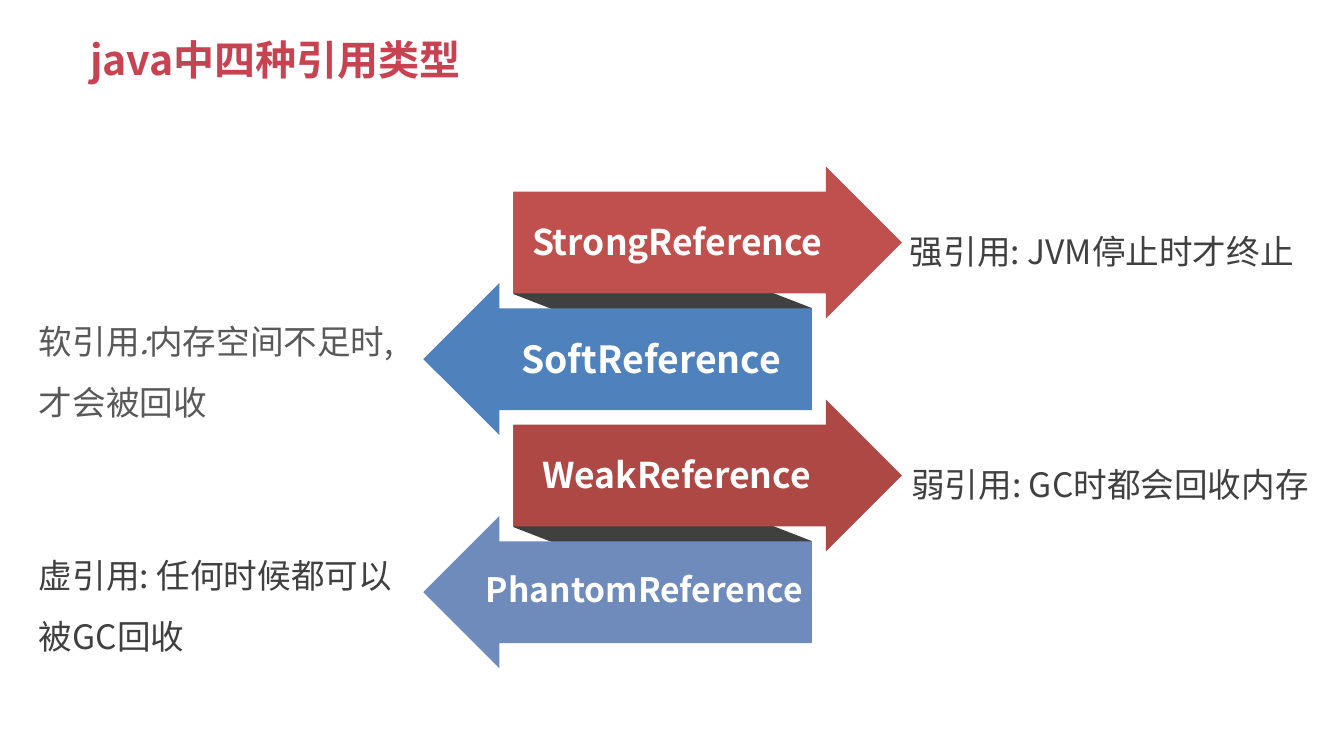
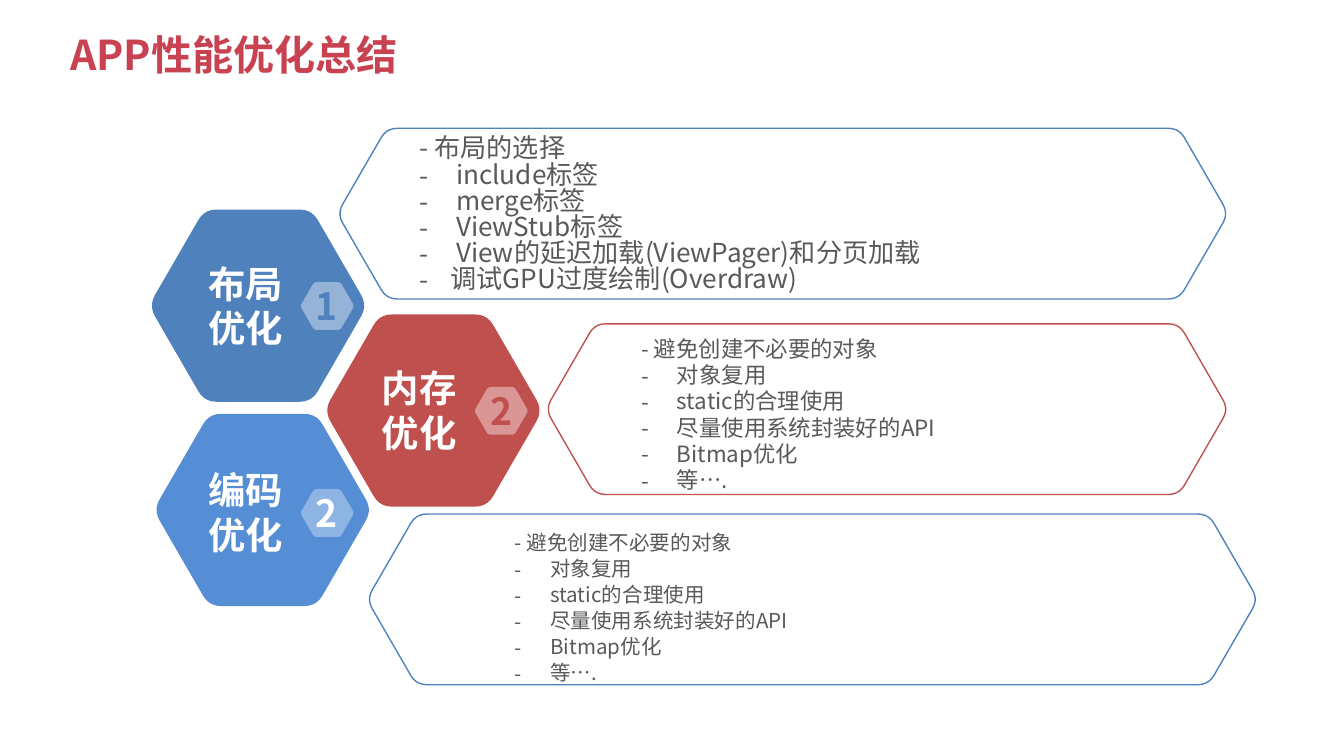
from lxml import etree
from pptx import Presentation, util as u
from pptx.dml.color import RGBColor
from pptx.enum import shapes, text
from pptx.oxml.ns import qn

FONT = "Noto Sans CJK SC"
COLORS = {
    "title": "C94251", "white": "FFFFFF", "dark": "404040", "gray": "595959",
    "red": "C0504D", "blue": "4F81BD", "deep red": "AE4845", "slate": "6E8BBB",
    "sky": "558ED5", "pale blue": "95B3D7", "pale red": "D99694", "pale sky": "8EB4E3",
}
CENTER, JUSTIFY = text.PP_ALIGN.CENTER, text.PP_ALIGN.JUSTIFY
TITLE = {"size": 22, "color": "title", "bold": True, "align": CENTER, "inset": (0.1, 0.05)}
LABEL = {"size": 20, "color": "white", "bold": True, "align": CENTER}
NOTE = {"size": 18, "color": "dark", "align": JUSTIFY, "spacing": 1.5}
LIST = {"color": "gray", "align": JUSTIFY, "spacing": u.Pt(14), "hanging": 0.23}

presentation = Presentation()
presentation.slide_width = u.Inches(10)
presentation.slide_height = presentation.slide_width * 9 // 16
# Grid of square cells: 100 columns by 56.25 rows
column = presentation.slide_width / 100
row = presentation.slide_height / 56.25


def place(left, top, width, height):
    return [round(v) for v in (left * column, top * row, width * column, height * row)]


def write(shape, box, lines, style):
    """Move a text shape and fill it; a line is a string or (string, italic) runs."""
    shape.left, shape.top, shape.width, shape.height = place(*box)
    frame = shape.text_frame
    side, end = style.get("inset", (0, 0))
    settings = {
        "word_wrap": True, "auto_size": text.MSO_AUTO_SIZE.NONE,
        "vertical_anchor": text.MSO_ANCHOR.TOP,
        "margin_left": u.Inches(side), "margin_right": u.Inches(side),
        "margin_top": u.Inches(end), "margin_bottom": u.Inches(end),
    }
    for name, value in settings.items():
        setattr(frame, name, value)
    for index, line in enumerate(lines):
        paragraph = frame.paragraphs[0] if index == 0 else frame.add_paragraph()
        layout = {"alignment": style["align"], "line_spacing": style.get("spacing", 1.0),
                  "space_before": u.Pt(0), "space_after": u.Pt(0)}
        for name, value in layout.items():
            setattr(paragraph, name, value)
        # The first line of a list carries its own dash, the others hang on a bullet
        properties = paragraph._p.get_or_add_pPr()
        hanging = u.Inches(style.get("hanging", 0)) if index else 0
        for name, value in {"marL": hanging, "indent": -hanging, "hangingPunct": 0}.items():
            properties.set(name, str(value))
        if hanging:
            etree.SubElement(properties, qn("a:buFont"), typeface=FONT)
            etree.SubElement(properties, qn("a:buChar"), char="-")
        else:
            etree.SubElement(properties, qn("a:buNone"))
        for words, italic in [(line, False)] if isinstance(line, str) else line:
            run = paragraph.add_run()
            run.text = words
            formats = {"name": FONT, "size": u.Pt(style["size"]),
                       "bold": style.get("bold", False), "italic": italic}
            for name, value in formats.items():
                setattr(run.font, name, value)
            run.font.color.rgb = RGBColor.from_string(COLORS[style["color"]])
            etree.SubElement(run._r.get_or_add_rPr(), qn("a:ea"), typeface=FONT)


# Slide 1: four kinds of reference
slide = presentation.slides.add_slide(presentation.slide_layouts[5])
write(slide.shapes.title, (2.8, 2.1, 35.4, 3), ["java中四种引用类型"], TITLE)

# Dark folds, then arrows turning right and left by turns
arrow_top, arrow_step = 12.4, 8.67
ribbons = [(shapes.MSO_SHAPE.PARALLELOGRAM, (41.2, arrow_top - 1.1 + 2 * fold * arrow_step, 16.2, 22.2),
            270, [0.532], "dark") for fold in (1, 0)]
for index, color in enumerate(["red", "blue", "deep red", "slate"]):
    left, rotation = [(38.2, 0), (31.5, 180)][index % 2]
    ribbons.append((shapes.MSO_SHAPE.RIGHT_ARROW, (left, arrow_top + index * arrow_step, 28.9, 11.3),
                    rotation, [0.67, 0.5], color))
for kind, box, rotation, adjustments, color in ribbons:
    ribbon = slide.shapes.add_shape(kind, *place(*box))
    ribbon.rotation = rotation
    ribbon.shadow.inherit = False
    for index, value in enumerate(adjustments):
        ribbon.adjustments[index] = value
    ribbon.fill.solid()
    ribbon.fill.fore_color.rgb = RGBColor.from_string(COLORS[color])
    ribbon.line.fill.background()

# Names on the arrows and notes beside them
captions = [
    ((38.2, 16.4, 24.4, 3.2), "StrongReference", LABEL | {"size": 19}),
    ((38.2, 25, 20.5, 3.4), "SoftReference", LABEL),
    ((39, 33.7, 22.7, 3.2), "WeakReference", LABEL | {"size": 19}),
    ((35, 42.3, 25.9, 3), "PhantomReference", LABEL | {"size": 18}),
    ((67.7, 15.7, 30.3, 4.5), "强引用: JVM停止时才终止", NOTE),
    ((2.9, 22.4, 27.9, 9.1),
     [("软引用", False), (":", True), ("内存空间不足时, \t才会被回收", False)], NOTE | {"color": "gray"}),
    ((67.8, 33, 31.9, 4.5), "弱引用: GC时都会回收内存", NOTE),
    ((2.9, 39.8, 28.2, 9.1), "虚引用: 任何时候都可以\t被GC回收", NOTE),
]
for box, line, style in captions:
    write(slide.shapes.add_textbox(0, 0, 0, 0), box, [line], style)

# Slide 2: summary of app optimisation
slide = presentation.slides.add_slide(presentation.slide_layouts[4])
write(slide.shapes.title, (-5.2, 1.7, 45.2, 3), ["APP性能优化总结"], TITLE)

# Rounded hexagons: box, fill, outline
cell, badge = (15.8, 14.3), (3.9, 3.55)
hexagons = [
    ((11.3, 15.6, *cell), "blue", None),
    ((24.35, 23.4, *cell), "red", None),
    ((11.65, 30.8, *cell), "sky", None),
    ((25.3, 9.55, 65.9, 12.7), None, "blue"),
    ((40.8, 24.1, 50.4, 12.7), None, "red"),
    ((27.5, 38.25, 65.9, 12.7), None, "blue"),
    ((22.4, 21, *badge), "pale blue", None),
    ((35.35, 28.8, *badge), "pale red", None),
    ((22.4, 36.4, *badge), "pale sky", None),
]
for box, fill, outline in hexagons:
    left, top, width, height = place(*box)
    radius = 0.063 * height
    left, right = left - radius / 4, left + width + radius / 4
    slant, middle, bottom = 0.289 * height, top + height / 2, top + height
    corners = [(left + slant, top), (right - slant, top), (right, middle),
               (right - slant, bottom), (left + slant, bottom), (left, middle)]
    points = []
    for index, corner in enumerate(corners):
        ends = []
        for neighbor in (corners[index - 1], corners[(index + 1) % 6]):
            gaps = [n - c for n, c in zip(neighbor, corner)]
            share = radius / (gaps[0] ** 2 + gaps[1] ** 2) ** 0.5
            ends.append([c + g * share for c, g in zip(corner, gaps)])
        for t in (0, 0.2, 0.4, 0.6, 0.8, 1):
            points.append(tuple(round((1 - t) ** 2 * a + 2 * t * (1 - t) * c + t ** 2 * b)
                                for a, c, b in zip(ends[0], corner, ends[1])))
    builder = slide.shapes.build_freeform(*points[0])
    builder.add_line_segments(points[1:], close=True)
    hexagon = builder.convert_to_shape()
    hexagon.shadow.inherit = False
    for part, color in ((hexagon.fill, fill), (hexagon.line.fill, outline)):
        if color:
            part.solid()
            part.fore_color.rgb = RGBColor.from_string(COLORS[color])
        else:
            part.background()
    if outline:
        hexagon.line.width = u.Pt(0.75)

# Topic names and badge numbers
topics = [
    ((14.8, 19.4), "布局优化", (23.2, 21.1), "1", "blue"),
    ((27.7, 27.2), "内存优化", (36.2, 28.9), "2", "red"),
    ((14.8, 34.8), "编码优化", (23.2, 36.5), "2", "white"),
]
for name_corner, name, number_corner, number, color in topics:
    write(slide.shapes.add_textbox(0, 0, 0, 0), (*name_corner, 7, 6.7), [name], LABEL)
    write(slide.shapes.add_textbox(0, 0, 0, 0), (*number_corner, 2.2, 3.4), [number],
          LABEL | {"color": color})

# Lists in the banners
layout_tips = ["- 布局的选择", " include标签", " merge标签", " ViewStub标签",
               " View的延迟加载(ViewPager)和分页加载", "调试GPU过度绘制(Overdraw)"]
object_tips = ["- 避免创建不必要的对象", " 对象复用", " static的合理使用",
               " 尽量使用系统封装好的API", " Bitmap优化", " 等…."]
lists = [
    ((31.2, 10.2, 47.6, 13.7), layout_tips, {"size": 14}),
    ((47.7, 25, 36, 11.8), object_tips, {"size": 12}),
    ((37.3, 38.8, 45.7, 12.8), object_tips, {"size": 11, "inset": (0.1, 0.05)}),
]
bodies = [shape for shape in slide.placeholders if shape.placeholder_format.idx > 0]
for body, (box, lines, style) in zip(bodies, lists):
    write(body, box, lines, LIST | style)
for spare in bodies[len(lists):]:
    spare._element.getparent().remove(spare._element)

presentation.save("out.pptx")
